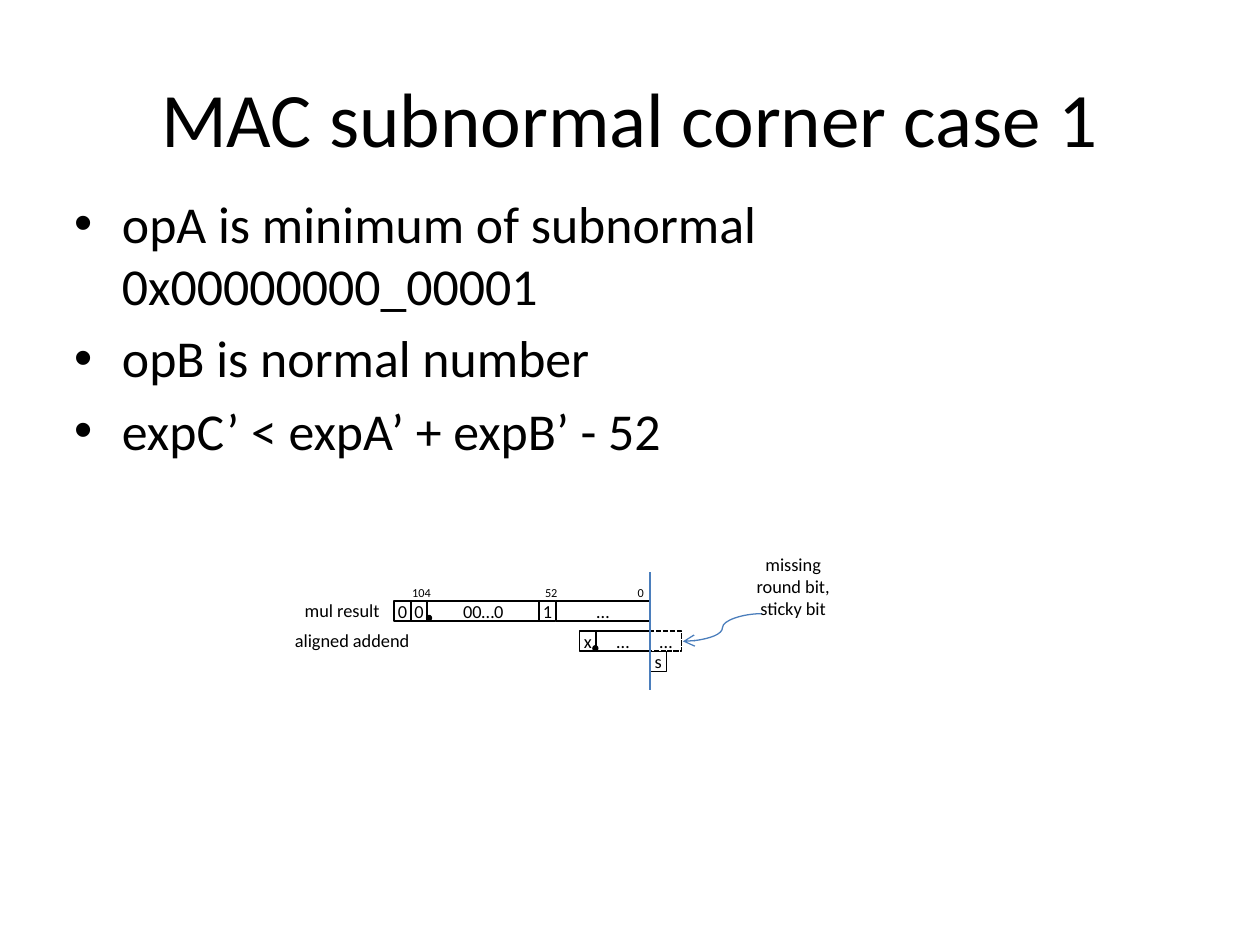
from dataclasses import dataclass

from lxml import etree
from pptx import Presentation
from pptx.dml.color import RGBColor
from pptx.enum.dml import MSO_LINE
from pptx.enum.shapes import MSO_CONNECTOR as Connector, MSO_SHAPE as Shape
from pptx.enum.text import MSO_ANCHOR as Anchor, PP_ALIGN as Align
from pptx.oxml.ns import qn
from pptx.util import Inches, Pt

COLORS = {"ink": "000000", "paper": "FFFFFF", "accent": "4B7EBC"}
FONT = "Calibri"
BIT = 0.13
ROW_HEIGHT = 0.16
DOT = 0.05
MUL_TOP, ADDEND_TOP = 4.77, 5.01
MUL_LEFT, ADDEND_LEFT, BOUNDARY = 3.13, 4.6, 5.16


@dataclass
class Field:
    text: str
    width: float = BIT
    dashed: bool = False


@dataclass
class Register:
    left: float
    top: float
    fields: list[Field]


@dataclass
class Label:
    text: str
    left: float
    top: float
    width: float
    size: float = 10.5
    height: float = ROW_HEIGHT


REGISTERS = [
    Register(MUL_LEFT, MUL_TOP, [Field("0"), Field("0"), Field("00…0", 0.89),
                                 Field("1"), Field("…", 0.75)]),
    Register(ADDEND_LEFT, ADDEND_TOP, [Field("x"), Field("…", 0.43),
                                       Field("…", 0.25, dashed=True)]),
    Register(BOUNDARY, ADDEND_TOP + ROW_HEIGHT, [Field("s")]),
]
LABELS = [
    Label("mul result", 2.37, 4.76, 0.69),
    Label("aligned addend", 2.21, 5, 1.17),
    Label("104", 3.22, 4.62, 0.25, size=7),
    Label("52", 4.25, 4.62, 0.25, size=7),
    Label("0", 4.96, 4.62, 0.25, size=7),
    Label("missing round bit, sticky bit", 5.9, 4.43, 0.79, height=0.45),
]
BINARY_POINTS = [(3.38, 4.88), (4.7, 5.12)]
CONDITIONS = [
    "opA is minimum of subnormal 0x00000000_00001",
    "opB is normal number",
    "expC’ < expA’ + expB’ - 52",
]


def color(name: str) -> RGBColor:
    return RGBColor.from_string(COLORS[name])


def write(frame, *lines: str, size: float = 10.5, align=Align.CENTER,
          anchor=Anchor.MIDDLE, margins=(0, 0, 0, 0), bulleted=False) -> None:
    """Fill a text frame; margins run left, top, right, bottom in inches."""
    frame.word_wrap = True
    frame.vertical_anchor = anchor
    (frame.margin_left, frame.margin_top,
     frame.margin_right, frame.margin_bottom) = map(Inches, margins)
    for index, line in enumerate(lines):
        paragraph = frame.add_paragraph() if index else frame.paragraphs[0]
        paragraph.alignment = align
        if index:
            paragraph.space_before = Pt(size * 0.2)
        if bulleted:
            properties = paragraph._p.get_or_add_pPr()
            properties.set("marL", str(Inches(0.38)))
            properties.set("indent", str(-Inches(0.38)))
            etree.SubElement(properties, qn("a:buFont")).set("typeface", "Arial")
            etree.SubElement(properties, qn("a:buChar")).set("char", "•")
        run = paragraph.add_run()
        run.text = line
        run.font.size = Pt(size)
        run.font.name = FONT
        run.font.color.rgb = color("ink")


def add_text(slide, left: float, top: float, width: float, height: float,
             *lines: str, **text_format) -> None:
    box = slide.shapes.add_textbox(*map(Inches, (left, top, width, height)))
    write(box.text_frame, *lines, **text_format)


def add_filled(slide, kind, left: float, top: float, width: float,
               height: float, fill: str):
    shape = slide.shapes.add_shape(kind, *map(Inches, (left, top, width, height)))
    shape.shadow.inherit = False
    shape.fill.solid()
    shape.fill.fore_color.rgb = color(fill)
    return shape


def add_register(slide, register: Register) -> None:
    """Lay the fields side by side from the register's left edge."""
    left = register.left
    for field in register.fields:
        cell = add_filled(slide, Shape.RECTANGLE, left, register.top,
                          field.width, ROW_HEIGHT, "paper")
        cell.line.color.rgb = color("ink")
        cell.line.width = Pt(1)
        if field.dashed:
            cell.line.dash_style = MSO_LINE.SQUARE_DOT
            cell.line._ln.find(qn("a:prstDash")).set("val", "sysDash")
        write(cell.text_frame, field.text)
        left += field.width


def add_line(slide, kind, start: tuple[float, float], end: tuple[float, float],
             arrow: bool = False) -> None:
    line = slide.shapes.add_connector(kind, *map(Inches, (*start, *end)))
    line.line.color.rgb = color("accent")
    line.line.width = Pt(0.75)
    if arrow:
        etree.SubElement(line.line._ln, qn("a:tailEnd")).set("type", "arrow")
    etree.SubElement(line._element.spPr, qn("a:effectLst"))


def main() -> None:
    deck = Presentation()
    deck.slide_width, deck.slide_height = Inches(10), Inches(7.5)
    slide = deck.slides.add_slide(deck.slide_layouts[6])

    add_text(slide, 0.5, 0.3, 9, 1.25, "MAC subnormal corner case 1",
             size=44, margins=(0.1, 0.05, 0.1, 0.05))
    add_text(slide, 0.49, 1.47, 9, 1.93, *CONDITIONS, size=29.6,
             align=Align.LEFT, anchor=Anchor.TOP, bulleted=True,
             margins=(0.1, 0.05, 0.2, 0.05))

    for register in REGISTERS:
        add_register(slide, register)
    for left, top in BINARY_POINTS:
        point = add_filled(slide, Shape.OVAL, left, top, DOT, DOT, "ink")
        point.line.fill.background()

    add_line(slide, Connector.STRAIGHT, (BOUNDARY, 4.54), (BOUNDARY, 5.48))
    add_line(slide, Connector.CURVE, (6.05, 4.87), (5.42, 5.09), arrow=True)
    for label in LABELS:
        add_text(slide, label.left, label.top, label.width, label.height,
                 label.text, size=label.size)

    deck.save("out.pptx")


if __name__ == "__main__":
    main()
